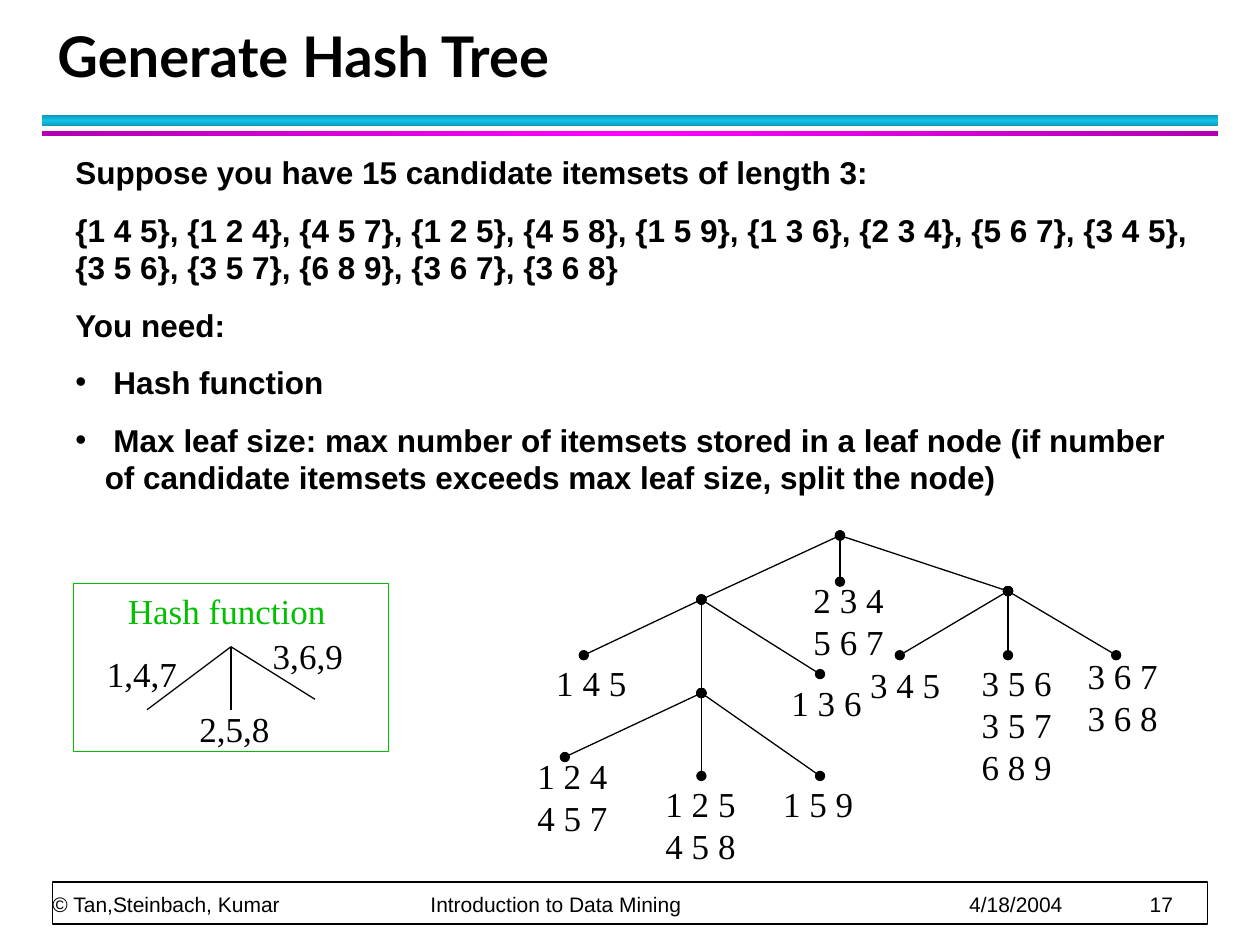
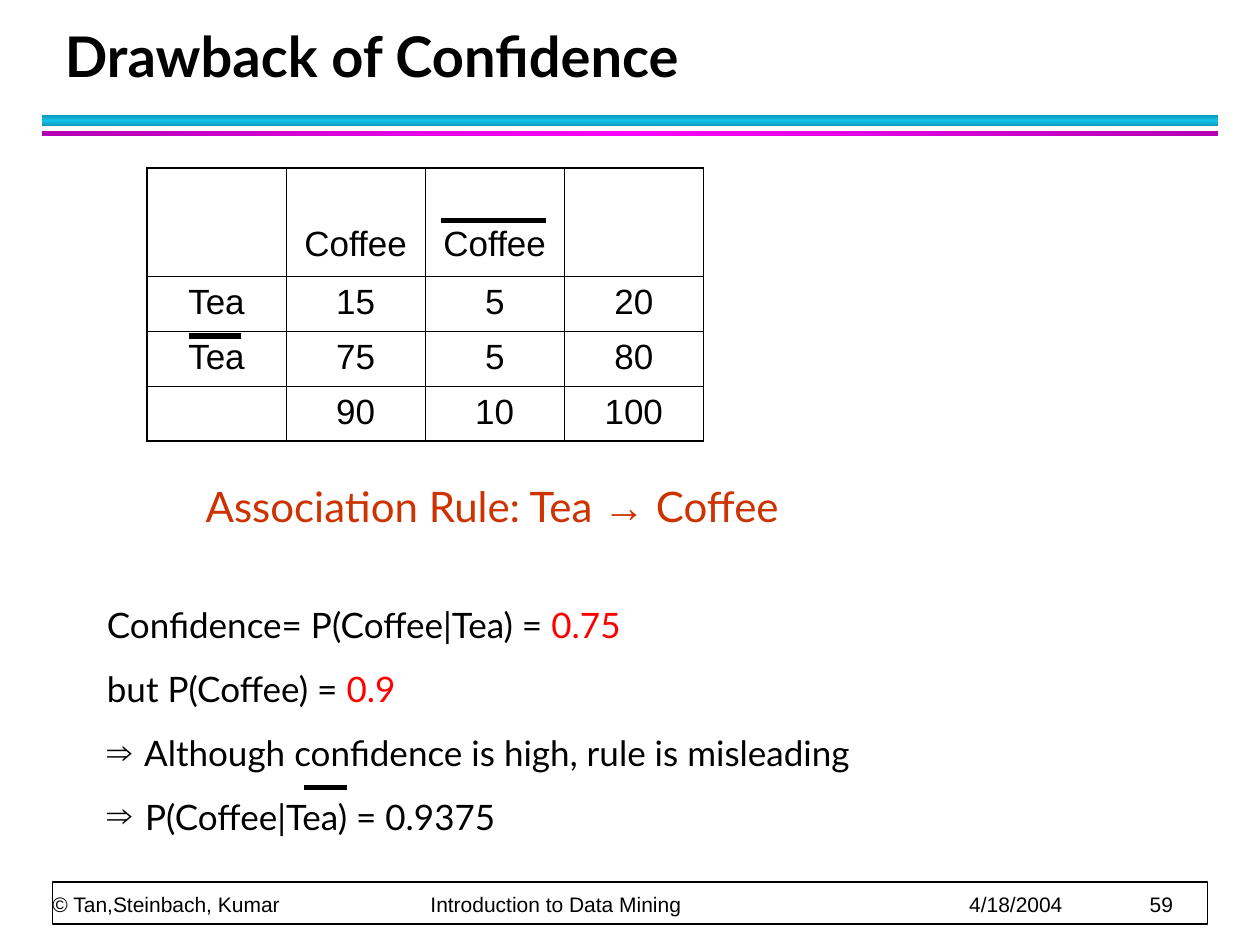
from copy import deepcopy
from lxml.etree import SubElement as Sub
from pptx import Presentation
from pptx.dml.color import RGBColor as RGB
from pptx.enum.shapes import MSO_CONNECTOR as LINK, MSO_SHAPE as SHAPE
from pptx.enum.text import MSO_ANCHOR as ANCHOR, PP_ALIGN as ALIGN
from pptx.oxml.ns import qn
from pptx.util import Inches, Pt

BLACK = RGB(0x00, 0x00, 0x00)
WHITE = RGB(0xFF, 0xFF, 0xFF)
GREEN = RGB(0x00, 0xC0, 0x00)
RED = RGB(0xFF, 0x00, 0x00)
RUST = RGB(0xCC, 0x33, 0x00)
CYAN = RGB(0x12, 0xC2, 0xE9)
TEAL = RGB(0x0E, 0x9B, 0xBA)
PINK = RGB(0xFF, 0x00, 0xFF)
PLUM = RGB(0xB2, 0x00, 0xB2)

# The slide is a grid of 120 columns by 90 rows of one unit each.
UNIT = Inches(1) / 12
COLS, ROWS = 120, 90

HEAD = dict(name="Lato", size=Pt(32), bold=True)
FOOT = dict(name="Arial", size=Pt(12))
BODY = dict(name="Arial", size=Pt(18), bold=True)
CELL = dict(name="Arial", size=Pt(20))
NODE = dict(name="Times New Roman", size=Pt(20))
NOTE = dict(name="Lato", size=Pt(20))
RULE = dict(name="Lato", size=Pt(24))
ARROW = dict(name="Arial", size=Pt(24))
MARKS = {"•": "Arial", "⇒": "Times New Roman"}


def write(slide, area, paras, font, color=BLACK, anchor=ANCHOR.TOP, pad=1.2):
    """Add a text box; a paragraph is (runs, format, bullet, indent, tabs)."""
    frame = slide.shapes.add_textbox(*[int(v * UNIT) for v in area]).text_frame
    frame.word_wrap, frame.vertical_anchor = True, anchor
    frame.margin_left = frame.margin_right = int(pad * UNIT)
    frame.margin_top = frame.margin_bottom = int(pad / 2 * UNIT)
    for n, (runs, form, mark, dent, tabs) in enumerate(paras):
        para = frame.paragraphs[0] if n == 0 else frame.add_paragraph()
        props = para._p.get_or_add_pPr()
        if dent:
            props.set("marL", str(int(dent * UNIT)))
        if mark:
            props.set("indent", str(-int(dent * UNIT)))
            Sub(props, qn("a:buFont"), typeface=MARKS[mark])
            Sub(props, qn("a:buChar"), char=mark)
        if tabs:
            stops = Sub(props, qn("a:tabLst"))
            for tab in tabs:
                Sub(stops, qn("a:tab"), pos=str(int(tab * UNIT)), algn="l")
        for key, val in form.items():
            setattr(para, key, val)
        for text, look, tint in runs:
            run = para.add_run()
            run.text = text
            for key, val in (look or font).items():
                setattr(run.font, key, val)
            run.font.color.rgb = tint or color


def link(slide, start, end, width=0.75, dots=False):
    line = slide.shapes.add_connector(LINK.STRAIGHT, *[int(v * UNIT) for v in (*start, *end)])
    line.line.color.rgb, line.line.width = BLACK, Pt(width)
    if dots:
        for tag in ("a:headEnd", "a:tailEnd"):
            Sub(line.line._get_or_add_ln(), qn(tag), type="oval")
    Sub(line._element.spPr, qn("a:effectLst"))


deck = Presentation()
deck.slide_width, deck.slide_height = int(COLS * UNIT), int(ROWS * UNIT)

# Shared bands, footer and title
slides = []
for title, left, page in (("Generate Hash Tree", 4.3, "17"), ("Drawback of Confidence", 5, "59")):
    slide = deck.slides.add_slide(deck.slide_layouts[6])
    slides.append(slide)
    for top, tall, edge, core, angle in ((11, 1, TEAL, CYAN, 90), (12.5, 0.5, PLUM, PINK, 0)):
        band = slide.shapes.add_shape(
            SHAPE.RECTANGLE, *[int(v * UNIT) for v in (4, top, COLS - 8, tall)])
        band.shadow.inherit = False
        band.line.fill.background()
        band.fill.gradient()
        band.fill.gradient_angle = angle
        stops = band._element.spPr.find(".//" + qn("a:gsLst"))
        stops.append(deepcopy(stops[0]))
        for stop, place, tint in zip(band.fill.gradient_stops, (0, 0.5, 1), (edge, core, edge)):
            stop.position, stop.color.rgb = place, tint
    frame = slide.shapes.add_shape(
        SHAPE.RECTANGLE, *[int(v * UNIT) for v in (5, 84, COLS - 10, 4)])
    frame.shadow.inherit = False
    frame.fill.solid()
    frame.fill.fore_color.rgb = WHITE
    frame.line.color.rgb, frame.line.width = BLACK, Pt(1)
    foot = "\t".join(("© Tan,Steinbach, Kumar", "Introduction to Data Mining", "4/18/2004", page))
    write(slide, (5, 80.6, 110, 6.7), [([(foot, None, None)], dict(line_spacing=Pt(20)), "", 0, (36, 87.3, 104.5))],
          FOOT, anchor=ANCHOR.BOTTOM, pad=0)
    write(slide, (left, 2, 108.7, 7), [([(title, None, None)], dict(line_spacing=Pt(36)), "", 0, ())],
          HEAD, anchor=ANCHOR.BOTTOM)
tree, risk = slides

# Slide 1: candidate hash tree
ROOT, MID, LEFT, RIGHT, LOW = (80, 51), (80, 55.4), (66.8, 57.1), (96, 56.3), (66.8, 66)
fans = {
    ROOT: (LEFT, RIGHT, MID),
    LEFT: ((55.6, 62.4), LOW, (78.1, 64.2)),
    LOW: ((53.8, 72.1), (66.8, 73.9), (78.1, 73.9)),
    RIGHT: ((85.7, 62.4), (96, 62.4), (106.3, 62.4)),
}
for top, ends in fans.items():
    for end in ends:
        link(tree, top, end, dots=True)

# Hash function key
for end in ((14, 67.6), (22, 67.6), (30, 66.6)):
    link(tree, (22, 61.6), end)

labels = (
    (76.3, 54.5, "2 3 4", "5 6 7"),
    (51.8, 62.4, "1 4 5"),
    (74.2, 64.3, "1 3 6"),
    (50, 71.3, "1 2 4", "4 5 7"),
    (62.2, 73.9, "1 2 5", "4 5 8"),
    (73.4, 73.9, "1 5 9"),
    (81.7, 62.6, "3 4 5"),
    (92.3, 62.4, "3 5 6", "3 5 7", "6 8 9"),
    (102.4, 61.7, "3 6 7", "3 6 8"),
    (9, 61.6, "1,4,7"),
    (17.8, 66.8, "2,5,8"),
    (24.8, 59.8, "3,6,9"),
)
for x, y, *sets in labels:
    write(tree, (x, y, 9.6, 1.3 + 4 * len(sets)),
          [([(text, None, None)], {}, "", 0, ()) for text in sets], NODE)
write(tree, (11, 55.6, 22, 5.3), [([("Hash function", None, None)], {}, "", 0, ())], NODE, GREEN)
key = tree.shapes.add_shape(SHAPE.RECTANGLE, *[int(v * UNIT) for v in (7, 55.6, 30, 16)])
key.shadow.inherit = False
key.fill.background()
key.line.color.rgb, key.line.width = GREEN, Pt(0.75)

needs = (
    ("Suppose you have 15 candidate itemsets of length 3:", ""),
    ("{1 4 5}, {1 2 4}, {4 5 7}, {1 2 5}, {4 5 8}, {1 5 9}, {1 3 6}, {2 3 4}, {5 6 7}, {3 4 5}, "
     "{3 5 6}, {3 5 7}, {6 8 9}, {3 6 7}, {3 6 8}", ""),
    ("You need:", ""),
    (" Hash function", "•"),
    (" Max leaf size: max number of itemsets stored in a leaf node (if number of candidate "
     "itemsets exceeds max leaf size, split the node)", "•"),
)
write(tree, (6, 14, 109, 34),
      [([(text, None, None)], dict(space_before=Pt(11.2 if n else 0)), mark, 2.8 if mark else 0, ())
       for n, (text, mark) in enumerate(needs)], BODY)

# Slide 2: tea and coffee counts
counts = (
    ("", "Coffee", "Coffee", ""),
    ("Tea", "15", "5", "20"),
    ("Tea", "75", "5", "80"),
    ("", "90", "10", "100"),
)
size = len(counts)
table = risk.shapes.add_table(size, size, *[int(v * UNIT) for v in (14, 16, 53, 26)]).table
table.first_row = table.horz_banding = False
for n in range(size):
    table.columns[n].width = int(53 / size * UNIT)
    table.rows[n].height = int((5.22 if n else 10.34) * UNIT)
for r, row in enumerate(counts):
    for c, text in enumerate(row):
        cell = table.cell(r, c)
        props = cell._tc.get_or_add_tcPr()
        outer = (("L", c == 0), ("R", c == size - 1), ("T", r == 0), ("B", r == size - 1))
        for side, thick in outer:
            edge = Sub(props, qn("a:ln" + side), w=str(Pt(1.08 if thick else 0.45)))
            Sub(Sub(edge, qn("a:solidFill")), qn("a:srgbClr"), val=str(BLACK))
        cell.fill.background()
        if r == 0:
            cell.margin_top = int(5.4 * UNIT)
        para = cell.text_frame.paragraphs[0]
        para.alignment = ALIGN.CENTER
        para.text = text
        for key, val in CELL.items():
            setattr(para.font, key, val)
        para.font.color.rgb = BLACK

# Bars that mark negation
for x, y, long in ((42, 21, 10), (18, 32, 5), (29, 75, 4)):
    link(risk, (x, y), (x + long, y), width=3)

steps = (
    ([("Association Rule: Tea ", RULE, RUST), ("→", ARROW, RUST), (" Coffee", RULE, RUST)], 0, "", 9.4),
    ([("Confidence= P(Coffee|Tea) = ", None, None), ("0.75", None, RED)], 41.3, "", 0),
    ([("but P(Coffee) = ", None, None), ("0.9", None, RED)], 12.5, "", 0),
    ([(" Although confidence is high, rule is misleading", None, None)], 12.5, "⇒", 2.8),
    ([(" P(Coffee|Tea) = 0.9375", None, None)], 12.5, "⇒", 2.8),
)
write(risk, (9, 45.2, 97, 35.2),
      [(runs, dict(space_before=Pt(gap)), mark, dent, ()) for runs, gap, mark, dent in steps], NOTE)

deck.save("out.pptx")
